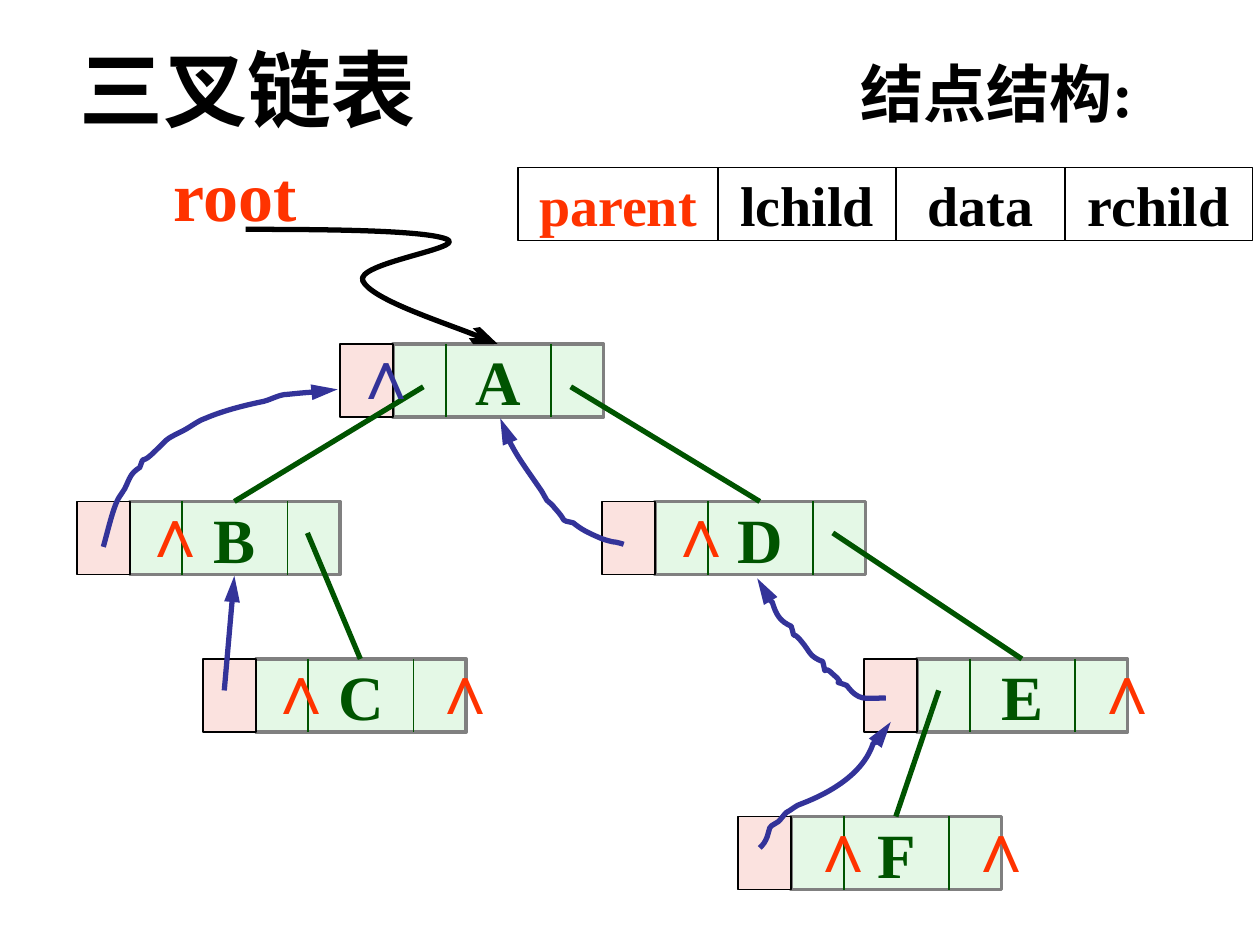
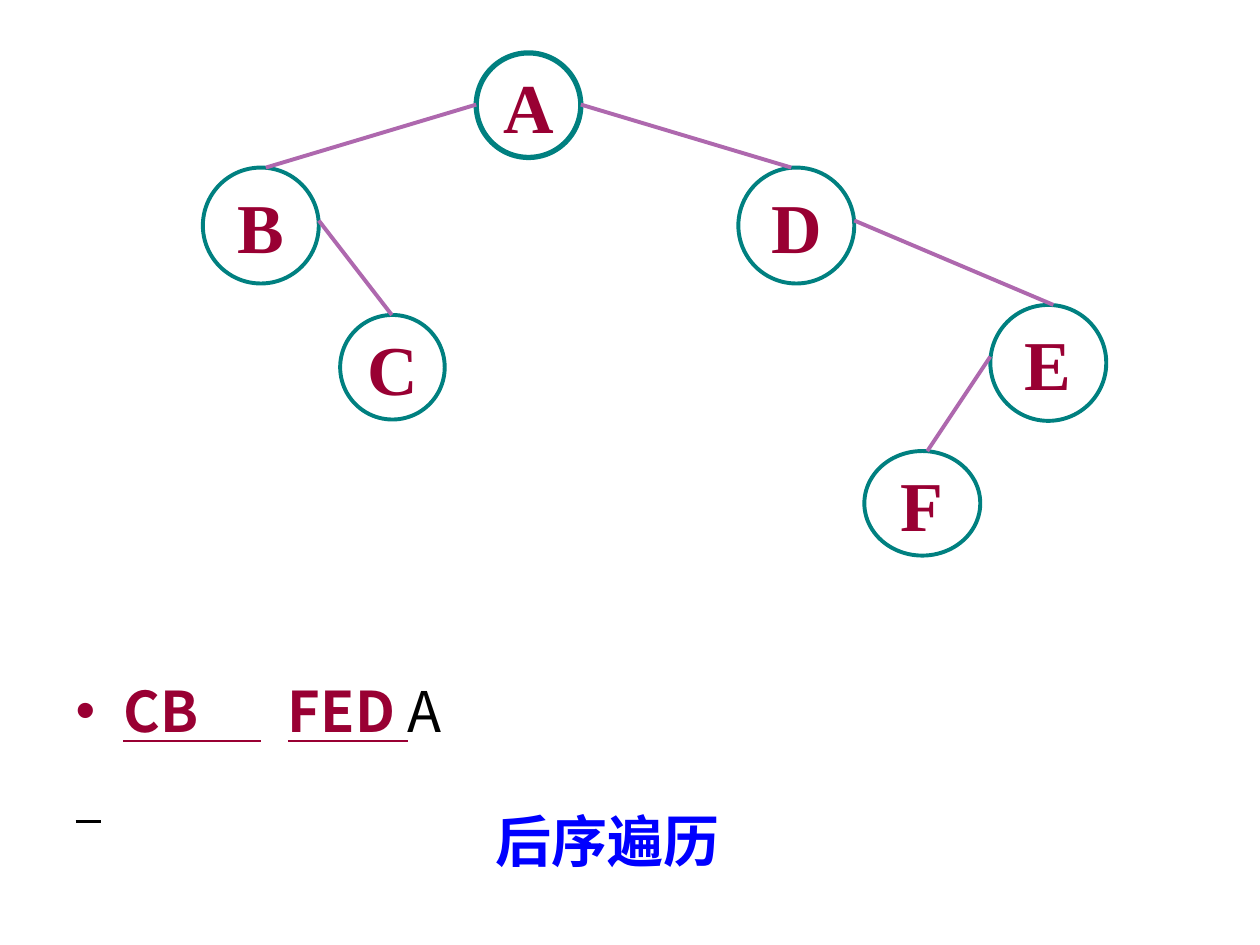
from lxml import etree
from pptx import Presentation
from pptx.dml.color import RGBColor
from pptx.enum import shapes, text
from pptx.oxml import ns
from pptx.util import Inches, Pt

SERIF, SANS, CJK = "Times New Roman", "Arial", "Noto Sans CJK SC"
BLACK, WHITE, RED, GREEN, BLUE = "000000", "FFFFFF", "FF3300", "005400", "333399"
MAROON, TEAL, PURPLE = "990033", "008080", "AE68AE"

FONTS = {
    "title": (dict(name=CJK, size=Pt(48), bold=True), BLACK),
    "heading": (dict(name=SERIF, size=Pt(36), bold=True), BLACK),
    "field": (dict(name=SERIF, size=Pt(32), bold=True), BLACK),
    "parent field": (dict(name=SERIF, size=Pt(32), bold=True), RED),
    "root": (dict(name=SERIF, size=Pt(40), bold=True), RED),
    "node": (dict(name=SERIF, size=Pt(36), bold=True), GREEN),
    "null": (dict(name=SANS, size=Pt(40), bold=True), RED),
    "null parent": (dict(name=SANS, size=Pt(40), bold=True), BLUE),
    "circle": (dict(name=SERIF, size=Pt(40), bold=True), MAROON),
    "order": (dict(name=CJK, size=Pt(32), bold=True, underline=False), MAROON),
    "order underlined": (dict(name=CJK, size=Pt(32), bold=True, underline=True), MAROON),
    "order gap": (dict(name=CJK, size=Pt(32), bold=False, underline=True), MAROON),
    "order root": (dict(name=CJK, size=Pt(32), bold=False, underline=False), BLACK),
    "caption": (dict(name=CJK, size=Pt(32), bold=True), "0000FF"),
}


def colour(value):
    return RGBColor.from_string(value)


def child(parent, tag, **attributes):
    return etree.SubElement(parent, ns.qn(tag), attributes)


def set_attributes(target, values):
    for name, value in values.items():
        setattr(target, name, value)


class Deck:
    def __init__(self):
        self.presentation = Presentation()
        self.presentation.slide_width = Inches(10)
        self.presentation.slide_height = Inches(7.5)
        self.slide = None

    def new_slide(self, layout):
        layouts = self.presentation.slide_layouts
        self.slide = self.presentation.slides.add_slide(layouts.get_by_name(layout))

    def run(self, paragraph, words, style, spacing=None):
        run = paragraph.add_run()
        run.text = words
        values, font_colour = FONTS[style]
        set_attributes(run.font, values)
        run.font.color.rgb = colour(font_colour)
        properties = run.font._element
        child(properties, "a:ea", typeface=CJK)
        if spacing:
            properties.set("spc", str(spacing))

    def place(self, shape, box):
        set_attributes(shape, dict(zip(("left", "top", "width", "height"), map(Inches, box))))

    def fit_text(self, shape, words, style):
        frame = shape.text_frame
        set_attributes(frame, dict(word_wrap=False, vertical_anchor=text.MSO_ANCHOR.TOP,
                                   auto_size=text.MSO_AUTO_SIZE.SHAPE_TO_FIT_TEXT))
        frame.paragraphs[0].alignment = text.PP_ALIGN.LEFT
        self.run(frame.paragraphs[0], words, style)

    def title(self, words, box, style):
        self.place(self.slide.shapes.title, box)
        self.fit_text(self.slide.shapes.title, words, style)

    def label(self, words, box, style):
        self.fit_text(self.slide.shapes.add_textbox(*map(Inches, box)), words, style)

    def shape(self, kind, box, fill, line, width, words="", style=None, opacity=None):
        shape = self.slide.shapes.add_shape(kind, *map(Inches, box))
        shape.shadow.inherit = False
        if fill:
            shape.fill.solid()
            shape.fill.fore_color.rgb = colour(fill)
        else:
            shape.fill.background()
        if opacity:
            shade = shape._element.spPr.find(ns.qn("a:solidFill"))[0]
            child(shade, "a:alpha", val=str(opacity * 1000))
        self.stroke(shape, line, width)
        if words:
            frame = shape.text_frame
            set_attributes(frame, dict(word_wrap=False, vertical_anchor=text.MSO_ANCHOR.MIDDLE))
            frame.paragraphs[0].alignment = text.PP_ALIGN.CENTER
            self.run(frame.paragraphs[0], words, style)

    def stroke(self, shape, line, width, arrow=None):
        shape.line.color.rgb = colour(line)
        shape.line.width = Pt(width)
        if arrow:
            end, kind = arrow
            child(shape.line._get_or_add_ln(), f"a:{end}End", type=kind, len="lg")

    def line(self, start, end, line, width, arrow=None):
        connector = self.slide.shapes.add_connector(
            shapes.MSO_CONNECTOR.STRAIGHT, *map(Inches, (*start, *end)))
        self.stroke(connector, line, width, arrow)
        child(connector._element.spPr, "a:effectLst")

    def curve(self, points, line, arrow):
        """Draw cubic curves: a start, then two controls and an end per segment."""
        points = [(Inches(x), Inches(y)) for x, y in points]
        builder = self.slide.shapes.build_freeform(*points[0])
        builder.add_line_segments(points[1:], close=False)
        shape = builder.convert_to_shape()
        steps = list(shape._element.iter(ns.qn("a:lnTo")))
        for index in range(0, len(steps), 3):
            segment = etree.Element(ns.qn("a:cubicBezTo"))
            steps[index].addprevious(segment)
            for step in steps[index:index + 3]:
                segment.append(step[0])
                step.getparent().remove(step)
        shape.shadow.inherit = False
        shape.fill.background()
        self.stroke(shape, line, 3, arrow)

    def bullet(self, box, runs):
        body = self.slide.placeholders[1]
        self.place(body, box)
        body.text_frame.auto_size = text.MSO_AUTO_SIZE.NONE
        paragraph = body.text_frame.paragraphs[0]
        paragraph.space_before = Pt(0)
        properties = paragraph._p.get_or_add_pPr()
        properties.set("marL", str(Inches(0.38)))
        properties.set("indent", str(-Inches(0.38)))
        child(child(properties, "a:buClr"), "a:srgbClr", val=MAROON)
        child(properties, "a:buChar", char="•")
        for run in runs:
            self.run(paragraph, *run)


# Linked nodes: left and top of the parent cell, then the null marks' offsets
CELL, BODY, HEIGHT, ROW = 0.42, 1.67, 0.58, 1.25
TOP = 2.73
NULL_LEFT, NULL_RIGHT = 0.41, 1.71
NODES = {
    "A": (2.7, TOP, ()),
    "B": (0.61, TOP + ROW, (NULL_LEFT,)),
    "D": (4.78, TOP + ROW, (NULL_LEFT,)),
    "C": (1.61, TOP + 2 * ROW, (NULL_LEFT, NULL_RIGHT)),
    "E": (6.86, TOP + 2 * ROW, (NULL_RIGHT,)),
    "F": (5.86, TOP + 3 * ROW, (NULL_LEFT + 0.05, NULL_RIGHT)),
}
# Parent, child, and where the link starts inside the parent
CHILD_LINKS = [("A", "B", 0.66, 0.34), ("A", "D", 1.83, 0.34), ("B", "C", 1.83, 0.25),
               ("D", "E", 1.83, 0.25), ("E", "F", 0.59, 0.25)]
ROOT_POINTER = [(1.95, 1.82), (2.67, 1.82), (3.39, 1.83), (3.55, 1.9), (3.7, 1.97),
                (2.81, 2.09), (2.88, 2.23), (2.95, 2.37), (3.77, 2.65), (3.95, 2.73)]
B_TO_A = [(0.82, 4.34), (0.85, 4.24), (0.9, 4.01), (0.95, 3.94), (0.96, 3.92), (0.98, 3.9),
          (0.99, 3.88), (1.03, 3.8), (1.03, 3.76), (1.11, 3.71), (1.15, 3.6), (1.11, 3.69),
          (1.2, 3.61), (1.35, 3.47), (1.29, 3.5), (1.45, 3.42), (1.51, 3.39), (1.57, 3.34),
          (1.63, 3.32), (1.77, 3.26), (1.93, 3.22), (2.07, 3.19), (2.14, 3.18), (2.21, 3.13),
          (2.28, 3.13), (2.38, 3.12), (2.47, 3.11), (2.57, 3.11), (2.61, 3.1), (2.68, 3.09),
          (2.68, 3.09)]
A_FROM_D = [(3.97, 3.32), (4.03, 3.53), (4.17, 3.71), (4.3, 3.9), (4.32, 3.92), (4.32, 3.95),
            (4.34, 3.97), (4.36, 3.99), (4.39, 4.01), (4.4, 4.03), (4.52, 4.16), (4.43, 4.12),
            (4.55, 4.15), (4.61, 4.2), (4.67, 4.23), (4.74, 4.26), (4.78, 4.28), (4.82, 4.29),
            (4.86, 4.3), (4.89, 4.3), (4.95, 4.32), (4.95, 4.32)]
D_FROM_E = [(6.01, 4.59), (6.04, 4.68), (6.06, 4.72), (6.13, 4.78), (6.16, 4.88), (6.19, 4.93),
            (6.28, 4.97), (6.32, 5.11), (6.27, 4.98), (6.36, 5.09), (6.43, 5.17), (6.42, 5.21),
            (6.53, 5.25), (6.57, 5.41), (6.51, 5.25), (6.61, 5.35), (6.75, 5.47), (6.56, 5.38),
            (6.72, 5.44), (6.82, 5.57), (6.86, 5.54), (7.03, 5.54)]
E_FROM_F = [(7.07, 5.73), (6.98, 5.9), (7.03, 5.86), (6.93, 5.9), (6.85, 6.15), (6.57, 6.3),
            (6.36, 6.38), (6.32, 6.39), (6.28, 6.43), (6.24, 6.45), (6.22, 6.47), (6.2, 6.5),
            (6.18, 6.52), (6.16, 6.54), (6.13, 6.54), (6.11, 6.57), (6.1, 6.59), (6.1, 6.62),
            (6.09, 6.64), (6.07, 6.69), (6.06, 6.7), (6.03, 6.73)]
# Circles of the plain tree: left, top, width, height, outline
CIRCLES = {
    "A": (3.78, 0.42, 0.83, 0.83, 3),
    "B": (1.61, 1.33, 0.92, 0.92, 2.25),
    "C": (2.7, 2.5, 0.83, 0.83, 2.25),
    "D": (5.86, 1.33, 0.92, 0.92, 2.25),
    "E": (7.86, 2.42, 0.92, 0.92, 2.25),
    "F": (6.86, 3.58, 0.92, 0.83, 2.25),
}
BRANCHES = [((3.78, 0.83), (2.11, 1.33)), ((2.53, 1.75), (3.11, 2.5)),
            ((4.61, 0.83), (6.28, 1.33)), ((6.78, 1.75), (8.36, 2.42)),
            ((7.86, 2.83), (7.36, 3.58))]


def linked_list_slide(deck):
    rectangle = shapes.MSO_SHAPE.RECTANGLE
    deck.new_slide("Title Only")
    deck.title("三叉链表", (0.53, 0.25, 3.3, 0.9), "title")

    # Node structure
    deck.label("结点结构:", (6.73, 0.38, 2.48, 0.7), "heading")
    left = 4.11
    for field, width in (("parent", 1.59), ("lchild", 1.41), ("data", 1.34), ("rchild", 1.49)):
        style = "parent field" if field == "parent" else "field"
        deck.shape(rectangle, (left, 1.33, width, HEIGHT), None, BLACK, 1, field, style)
        left += width

    # Nodes with their cell dividers
    for name, (x, y, _) in NODES.items():
        deck.shape(rectangle, (x + CELL, y, BODY, HEIGHT), "CAF2CE", "808080", 2,
                   name, "node", opacity=50)
        for quarter in (1, 3):
            divider = x + CELL + quarter * BODY / 4
            deck.line((divider, y), (divider, y + HEIGHT), GREEN, 1)
        deck.shape(rectangle, (x, y, CELL, HEIGHT), "FBE2DF", BLACK, 1)

    # Child links and null marks
    for parent, target, dx, dy in CHILD_LINKS:
        x, y, _ = NODES[parent]
        end_x, end_y, _ = NODES[target]
        deck.line((x + dx, y + dy), (end_x + 1.25, end_y), GREEN, 3)
    for x, y, nulls in NODES.values():
        for offset in nulls:
            deck.label("∧", (x + offset, y - 0.16, 0.38, 0.77), "null")
    deck.label("∧", (2.69, 2.57, 0.38, 0.77), "null parent")

    # Root and parent pointers
    deck.label("root", (1.28, 1.15, 1.18, 0.77), "root")
    deck.curve(ROOT_POINTER, BLACK, ("tail", "arrow"))
    deck.curve(B_TO_A, BLUE, ("tail", "triangle"))
    for points in (A_FROM_D, D_FROM_E, E_FROM_F):
        deck.curve(points, BLUE, ("head", "triangle"))
    deck.line((1.86, 4.57), (1.78, 5.48), BLUE, 3, ("head", "triangle"))


def traversal_slide(deck):
    deck.new_slide("Title and Content")
    deck.title("后序遍历", (3.83, 6.35, 2.4, 0.64), "caption")

    # Visiting order, with the first underline drawn on past its letters
    deck.bullet((0.5, 5.32, 9, 1.37), [
        ("CB", "order underlined"), (" ", "order underlined", 2900), (" ", "order", 750),
        ("FED", "order underlined"), (" ", "order gap"), ("A", "order root")])
    deck.line((0.98, 5.88), (2.07, 5.88), MAROON, 1.5)
    deck.line((0.6, 6.52), (0.8, 6.52), BLACK, 1.75)

    # Tree
    for name, (*box, width) in CIRCLES.items():
        deck.shape(shapes.MSO_SHAPE.OVAL, box, WHITE, TEAL, width, name, "circle")
    for start, end in BRANCHES:
        deck.line(start, end, PURPLE, 2.25)


def main():
    deck = Deck()
    linked_list_slide(deck)
    traversal_slide(deck)
    deck.presentation.save("out.pptx")


if __name__ == "__main__":
    main()
